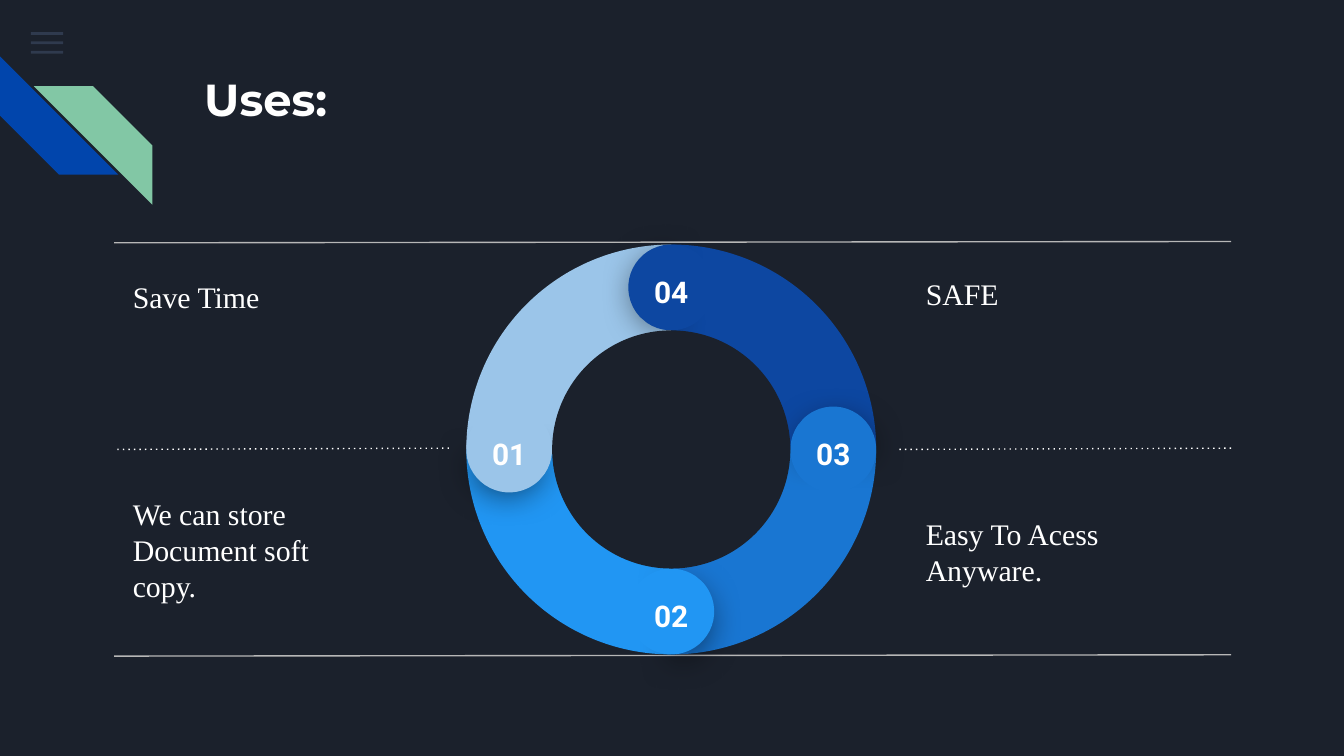
import math

from lxml import etree
from pptx import Presentation
from pptx import util as u
from pptx.dml import color
from pptx.enum import dml, shapes, text
from pptx.oxml import ns

Pt = u.Pt
Kind = shapes.MSO_SHAPE
DARK = "1B212C"
WHITE = "FFFFFF"
SERIF = "Times New Roman"


def rgb(code):
    """Turn a hex string into a colour."""
    return color.RGBColor.from_string(code)


def sub(node, tag, **attrs):
    """Append a drawing element to a node."""
    return etree.SubElement(node, ns.qn("a:" + tag), attrs)


def fade(clr, pct):
    """Make a colour element partly transparent."""
    sub(clr, "alpha", val=str(pct * 1000))


def shape(slide, kind, box, fill, turn=0, adj=()):
    """Add a plain filled preset shape."""
    item = slide.shapes.add_shape(kind, *map(Pt, box))
    item.shadow.inherit = False
    item.fill.solid()
    item.fill.fore_color.rgb = rgb(fill)
    item.line.fill.background()
    item.rotation = turn
    for i, val in enumerate(adj):
        item.adjustments[i] = val
    return item


def disc(slide, kind, mid, size, fill, turn=0, adj=()):
    """Add a round shape about its middle point."""
    x, y = mid
    box = (x - size / 2, y - size / 2, size, size)
    return shape(slide, kind, box, fill, turn, adj)


def glow(item):
    """Give a shape a soft dark shadow below it."""
    fx = item.element.spPr.find(ns.qn("a:effectLst"))
    shade = sub(fx, "outerShdw", blurRad=str(Pt(18)), dist=str(Pt(4)),
                dir="5400000", algn="bl", rotWithShape="0")
    fade(sub(shade, "srgbClr", val="000000"), 55)


def write(item, words, font=SERIF, size=16, bold=False, align="LEFT",
          anchor="TOP", low=7.2):
    """Put formatted white text in a box or placeholder."""
    frame = item.text_frame
    frame.word_wrap = True
    frame.auto_size = text.MSO_AUTO_SIZE.NONE
    frame.vertical_anchor = text.MSO_ANCHOR[anchor]
    frame.margin_left = frame.margin_right = frame.margin_top = Pt(7.2)
    frame.margin_bottom = Pt(low)
    para = frame.paragraphs[0]
    para.alignment = text.PP_ALIGN[align]
    run = para.add_run()
    run.text = words
    run.font.name = font
    run.font.size = Pt(size)
    run.font.bold = bold
    run.font.color.rgb = rgb(WHITE)


def label(slide, words, box, **form):
    """Add a text box."""
    write(slide.shapes.add_textbox(*map(Pt, box)), words, **form)


def rule(slide, left, right, y, hue, dots=False):
    """Draw a thin, nearly level line."""
    item = slide.shapes.add_connector(
        shapes.MSO_CONNECTOR.STRAIGHT, Pt(right), Pt(y), Pt(left), Pt(y + 0.7))
    item.line.color.rgb = rgb(hue)
    item.line.width = Pt(0.75)
    props = item.element.spPr
    if dots:
        item.line.dash_style = dml.MSO_LINE.ROUND_DOT
        props.find(".//" + ns.qn("a:prstDash")).set("val", "dot")
    sub(props, "effectLst")


def corner(slide, box):
    """Draw the menu bars and the two stripes."""
    x, y, side = box
    for i in range(3):
        bar = shape(slide, Kind.RECTANGLE,
                    (x + 16.6, y - 13 + 5 * i, 17.3, 1.5), "55688B")
        fade(bar.element.spPr.find(".//" + ns.qn("a:srgbClr")), 36)
    for dx, dy, fill, turn in ((0, 0, "0145AC", 270), (18.2, 16, "82C7A5", 90)):
        shape(slide, Kind.DIAGONAL_STRIPE, (x + dx, y + dy, side, side),
              fill, turn, (0.5,))


def head(slide, words, box):
    """Place the slide title."""
    title = slide.shapes.title
    title.left, title.top, title.width, title.height = map(Pt, box)
    write(title, words, font="Montserrat", size=24, bold=True)


def wheel(slide, box):
    """Draw the ring of four numbered, overlapping arcs."""
    x, y, size = box
    cx, cy = x + size / 2, y + size / 2
    hues = ("9BC5E9", "2196F3", "1976D2", "0D47A1")
    turns = (0, 270, 180, 90)

    def spot(turn, far):
        """Find the point at a distance from the hub."""
        ang = math.radians(180 + turn)
        return cx + far * math.cos(ang), cy + far * math.sin(ang)

    for hue, turn in zip(hues, turns):
        disc(slide, Kind.PIE, (cx, cy), size, hue, turn, (108, 162))
    for i, (hue, turn) in enumerate(zip(hues, turns)):
        glow(disc(slide, Kind.PIE, spot(turn, 88.3), 41, hue,
                  (turn + 39.5) % 360, (189.54, 83.81)))
        disc(slide, Kind.CHORD, spot(turn, 86.8), 46, hue,
             (turn + 4.1) % 360, (25.01, 18.12))
        px, py = spot(turn, 86.8)
        label(slide, f"{i + 1:02}", (px - 20, py - 14.8, 40, 21),
              font="Roboto", bold=True, align="CENTER")
    disc(slide, Kind.OVAL, (cx, cy), 127.6, DARK)


def notes(slide, box):
    """Place the four texts around the wheel."""
    x, y = box
    far = x + 424.8
    parts = (("Save Time", x, 8, 58.3, 25.6),
             ("We can store Document soft copy.", x, 129.6, 67.7, 7.2),
             ("SAFE", far, 0, 52.6, 7.2),
             ("Easy To Acess Anyware.", far, 138.2, 52.6, 7.2))
    for words, left, dy, high, low in parts:
        label(slide, words, (left, y + dy, 146.2, high),
              anchor="MIDDLE", low=low)


def rules(slide, box):
    """Draw the outer lines and the dotted middle ones."""
    x, y, wide, high = box
    mid, part = y + high / 2, 179.3
    rule(slide, x, x + wide, y, "B7B7B7")
    rule(slide, x, x + part, mid, WHITE, dots=True)
    rule(slide, x + wide - part, x + wide, mid, WHITE, dots=True)
    rule(slide, x, x + wide, y + high, "B7B7B7")


def main():
    """Build the slide and save it."""
    deck = Presentation()
    deck.slide_width, deck.slide_height = Pt(720), Pt(405)
    slide = deck.slides.add_slide(deck.slide_layouts[5])
    slide.background.fill.solid()
    slide.background.fill.fore_color.rgb = rgb(DARK)
    corner(slide, (0, 30.2, 63.4))
    head(slide, "Uses:", (102.2, 31, 554.4, 72))
    rules(slide, (61.2, 129.4, 598.3, 221.4))
    wheel(slide, (249.8, 131, 219.6))
    notes(slide, (64.1, 131))
    deck.save("out.pptx")


if __name__ == "__main__":
    main()
